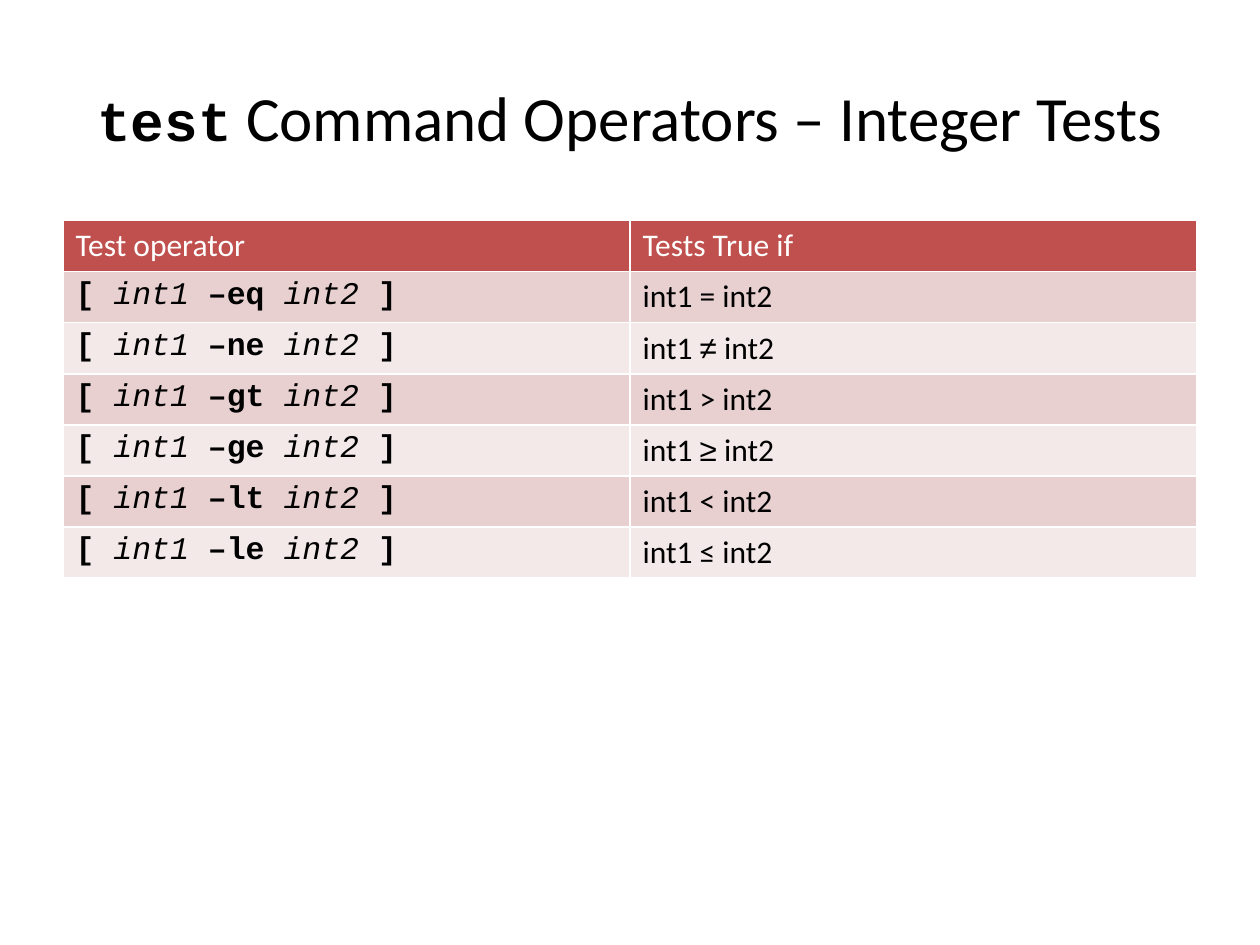
from lxml import etree
from pptx import Presentation
from pptx.dml.color import RGBColor
from pptx.enum.text import MSO_ANCHOR, PP_ALIGN
from pptx.oxml.ns import qn
from pptx.util import Inches, Pt

MIDDLE = MSO_ANCHOR.MIDDLE
CENTER = PP_ALIGN.CENTER
TITLE_ONLY = 5
WIDE, HIGH = Inches(10), Inches(7.5)
SANS, MONO, SIGN = "Calibri", "Courier New", "Arial"
COLORS = {"head": "C0504D", "odd": "E8D0D0", "even": "F4E9E9",
          "white": "FFFFFF", "black": "000000"}
TESTS = [("eq", "=", SANS), ("ne", "≠", SIGN), ("gt", ">", SANS),
         ("ge", "≥", SIGN), ("lt", "<", SANS), ("le", "≤", SANS)]


def color(name):
    """Return the named colour."""
    return RGBColor.from_string(COLORS[name])


def add_run(para, text, font=SANS, size=18, tone="black", bold=False, slant=False):
    """Add one formatted run to a paragraph."""
    run = para.add_run()
    run.text = text
    run.font.name = font
    run.font.size = Pt(size)
    run.font.bold = bold
    run.font.italic = slant
    run.font.color.rgb = color(tone)


def set_edges(cell):
    """Give a cell thin white borders, placed ahead of its fill."""
    props = cell._tc.get_or_add_tcPr()
    for spot, side in enumerate(("lnL", "lnR", "lnT", "lnB")):
        line = etree.Element(qn(f"a:{side}"), w=str(Pt(1)))
        fill = etree.SubElement(line, qn("a:solidFill"))
        etree.SubElement(fill, qn("a:srgbClr"), val=COLORS["white"])
        props.insert(spot, line)


def add_title(slide, left, top, width, height):
    """Fill the title placeholder within its box."""
    title = slide.shapes.title
    title.left, title.top, title.width, title.height = left, top, width, height
    frame = title.text_frame
    frame.word_wrap = True
    frame.vertical_anchor = MIDDLE
    para = frame.paragraphs[0]
    para.alignment = CENTER
    add_run(para, "test", MONO, 32, bold=True)
    add_run(para, " Command Operators – Integer Tests", size=36)


def add_tests(slide, left, top, width, height):
    """Draw the table of integer tests within its box."""
    table = slide.shapes.add_table(len(TESTS) + 1, 2, left, top, width, height).table
    table.horz_banding = False
    for index, row in enumerate(table.rows):
        band = "head" if index == 0 else "odd" if index % 2 else "even"
        for cell in row.cells:
            cell.fill.solid()
            cell.fill.fore_color.rgb = color(band)
            set_edges(cell)
    for col, text in enumerate(("Test operator", "Tests True if")):
        add_run(table.cell(0, col).text_frame.paragraphs[0], text, tone="white")
    for row, (flag, sign, font) in enumerate(TESTS, 1):
        code, rule = (table.cell(row, col).text_frame.paragraphs[0] for col in (0, 1))
        parts = ("[ ", "int1", f" –{flag} ", "int2 ", "]")
        for spot, text in enumerate(parts):
            slant = spot % 2 == 1
            add_run(code, text, MONO, bold=not slant, slant=slant)
        if font == SANS:
            add_run(rule, f"int1 {sign} int2")
        else:
            for text, face in (("int1 ", SANS), (sign, font), (" int2", SANS)):
                add_run(rule, text, face)


def main():
    """Build and save the slide."""
    deck = Presentation()
    deck.slide_width, deck.slide_height = WIDE, HIGH
    slide = deck.slides.add_slide(deck.slide_layouts[TITLE_ONLY])
    edge, span = int(WIDE * 0.05), int(WIDE * 0.9)
    add_title(slide, edge, int(HIGH * 0.04), span, Inches(1.25))
    add_tests(slide, edge, Inches(1.75), span, Inches(2.84))
    deck.save("out.pptx")


main()
